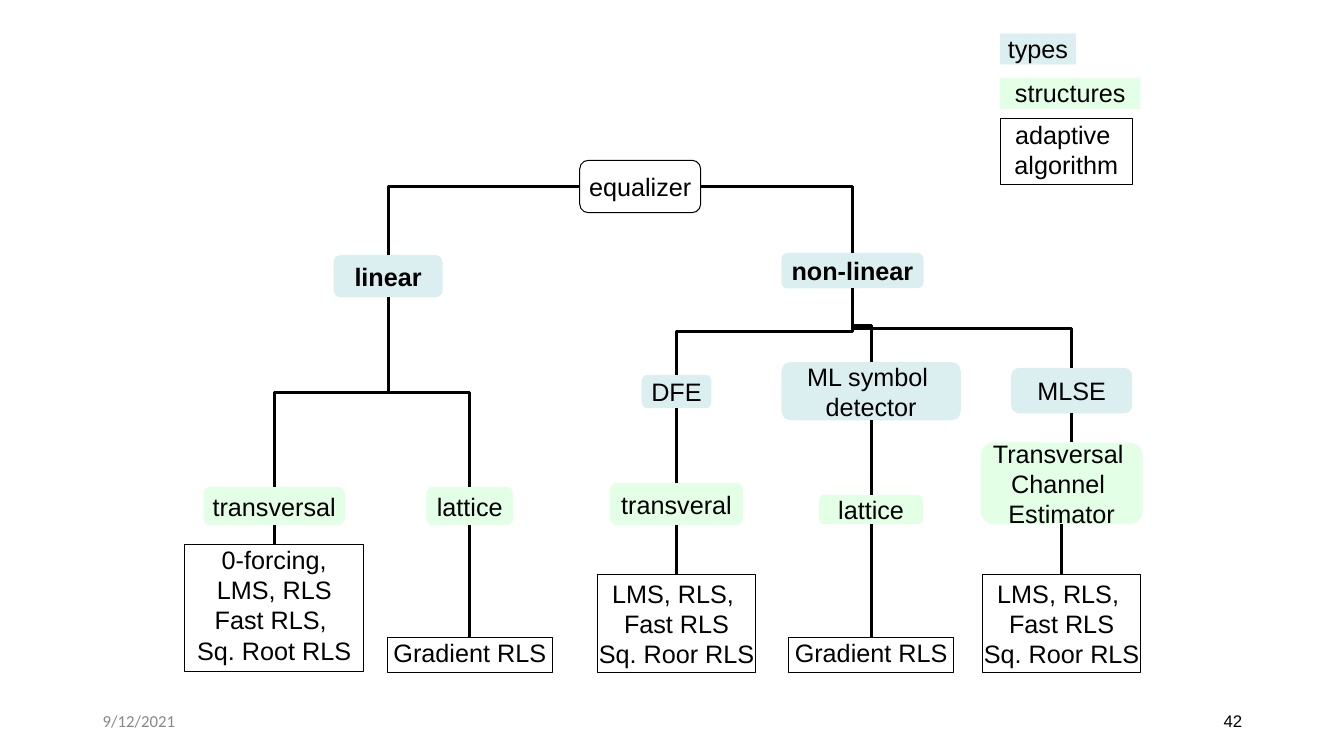
from dataclasses import dataclass

from lxml.etree import SubElement
from pptx import Presentation
from pptx.dml.color import RGBColor
from pptx.enum.shapes import MSO_CONNECTOR as Link, MSO_SHAPE as Preset
from pptx.enum.text import MSO_ANCHOR as Anchor, PP_ALIGN as Align
from pptx.oxml.ns import qn
from pptx.util import Inches, Pt


@dataclass(frozen=True)
class Theme:
    ink: str = "000000"
    muted: str = "888888"
    paper: str = "FFFFFF"
    type_fill: str = "DCEFF0"
    structure_fill: str = "E3FFE5"
    font: str = "Arial"
    date_font: str = "Calibri"
    label_size: int = 18
    footer_size: int = 12
    outline: float = 0.75
    branch: float = 2.25
    cell: float = 0.1


class TreeSlide:
    """Draws tree nodes and branches on one slide, on a grid of square cells."""

    def __init__(self, slide, theme):
        self.slide = slide
        self.theme = theme

    def grid(self, *cells):
        return [Inches(count * self.theme.cell) for count in cells]

    def add_lines(self, frame, text, size, align, color, font, bold=False):
        for index, line in enumerate(text.split("\n")):
            paragraph = frame.add_paragraph() if index else frame.paragraphs[0]
            paragraph.alignment = align
            run = paragraph.add_run()
            run.text = line
            run.font.size = Pt(size)
            run.font.name = font
            run.font.bold = bold
            run.font.color.rgb = RGBColor.from_string(color)

    def footer(self, text, left, align, color, font):
        box = self.slide.shapes.add_textbox(*self.grid(left, 69.5, 30, 4))
        frame = box.text_frame
        frame.word_wrap = True
        frame.vertical_anchor = Anchor.MIDDLE
        self.add_lines(frame, text, self.theme.footer_size, align, color, font)

    def node(self, text, center, top, width, height, fill, preset=Preset.ROUNDED_RECTANGLE,
             outlined=False, anchor=Anchor.MIDDLE, bold=False):
        area = self.grid(center - width / 2, top, width, height)
        shape = self.slide.shapes.add_shape(preset, *area)
        shape.shadow.inherit = False
        shape.fill.solid()
        shape.fill.fore_color.rgb = RGBColor.from_string(fill)
        if outlined:
            shape.line.color.rgb = RGBColor.from_string(self.theme.ink)
            shape.line.width = Pt(self.theme.outline)
        else:
            shape.line.fill.background()
        frame = shape.text_frame
        frame.word_wrap = False
        frame.vertical_anchor = anchor
        frame.margin_left = frame.margin_right = frame.margin_top = frame.margin_bottom = 0
        self.add_lines(frame, text, self.theme.label_size, Align.CENTER,
                       self.theme.ink, self.theme.font, bold)
        return shape

    def kind(self, text, *area, **options):
        return self.node(text, *area, self.theme.type_fill, **options)

    def structure(self, text, *area, **options):
        return self.node(text, *area, self.theme.structure_fill, **options)

    def algorithm(self, text, *area, anchor=Anchor.TOP):
        return self.node(text, *area, self.theme.paper, Preset.RECTANGLE, True, anchor)

    def connector(self, style, *ends):
        connector = self.slide.shapes.add_connector(style, *ends)
        connector.line.color.rgb = RGBColor.from_string(self.theme.ink)
        connector.line.width = Pt(self.theme.branch)
        SubElement(connector._element.spPr, qn("a:effectLst"))
        return connector

    def drop(self, parent, child):
        connector = self.connector(Link.STRAIGHT, 0, 0, 0, 0)
        connector.begin_connect(parent, 2)
        connector.end_connect(child, 0)

    def stub(self, parent, bottom):
        x = parent.left + parent.width // 2
        connector = self.connector(Link.STRAIGHT, x, 0, x, *self.grid(bottom))
        connector.begin_connect(parent, 2)

    def elbow(self, parent, child, from_side=False):
        x, y = child.left + child.width // 2, child.top
        end_x, end_y = parent.left + parent.width // 2, parent.top + parent.height
        leftward = x < end_x
        if from_side:
            end_x = parent.left if leftward else parent.left + parent.width
            end_y = parent.top + parent.height // 2
        rise, run = y - end_y, abs(x - end_x)
        left, top = (x + end_x - rise) // 2, (y + end_y - run) // 2
        connector = self.connector(Link.ELBOW, left, top, left + rise, top + run)
        properties = connector._element.spPr
        transform = properties.find(qn("a:xfrm"))
        transform.set("rot", str((270 if leftward else 90) * 60000))
        if not leftward:
            transform.set("flipH", "1")
        if from_side:
            properties.find(qn("a:prstGeom")).set("prst", "bentConnector2")


def main():
    presentation = Presentation()
    presentation.slide_width, presentation.slide_height = Inches(13.33), Inches(7.5)
    theme = Theme()
    tree = TreeSlide(presentation.slides.add_slide(presentation.slide_layouts[6]), theme)

    tree.footer("9/12/2021", 9.2, Align.LEFT, theme.muted, theme.date_font)
    tree.footer("42", 94.2, Align.RIGHT, theme.ink, theme.font)

    legend = {"preset": Preset.RECTANGLE, "anchor": Anchor.TOP}
    tree.kind("types", 102.95, 3.3, 7.5, 3.1, **legend)
    tree.structure("structures", 106.15, 7.7, 13.9, 3.1, **legend)
    tree.algorithm("adaptive \nalgorithm", 105.75, 11.8, 13.1, 6.5)

    equalizer = tree.node("equalizer", 63.5, 15.9, 12, 5.2, theme.paper, outlined=True)
    linear = tree.kind("linear", 38.5, 25.3, 10.8, 4.2, bold=True)
    nonlinear = tree.kind("non-linear", 84.55, 25.1, 14.1, 3.5, bold=True)
    feedback = tree.kind("DFE", 67.1, 37.2, 6.9, 3.3)
    detector = tree.kind("ML symbol \ndetector", 86.4, 35.9, 17.8, 5.8)
    sequence = tree.kind("MLSE", 106.3, 36.5, 12, 4.5)

    transversal = tree.structure("transversal", 27.2, 48.3, 14, 3.8)
    lattice = tree.structure("lattice", 46.6, 48.3, 8.6, 3.8)
    feedback_transversal = tree.structure("transveral", 67.1, 47.9, 13.2, 4.2)
    detector_lattice = tree.structure("lattice", 86.4, 49.1, 10.3, 2.9)
    estimator = tree.structure("Transversal \nChannel \nEstimator", 105.3, 43.9, 16.1, 8.1)

    forcing = tree.algorithm("0-forcing,\nLMS, RLS\nFast RLS, \nSq. Root RLS",
                             27.2, 54, 17.7, 12.6)
    gradients = [tree.algorithm("Gradient RLS", center, 63.2, 16.4, 3.5)
                 for center in (46.6, 86.4)]
    squares = [tree.algorithm("LMS, RLS, \nFast RLS\nSq. Roor RLS", center, 57, 15.7, 9.7,
                              anchor=Anchor.MIDDLE) for center in (67.1, 105.3)]

    for child in (linear, nonlinear):
        tree.elbow(equalizer, child, from_side=True)
    for parent, children in ((linear, (transversal, lattice)),
                             (nonlinear, (feedback, detector, sequence))):
        for child in children:
            tree.elbow(parent, child)
    for parent, child in ((transversal, forcing), (lattice, gradients[0]),
                          (feedback, feedback_transversal), (feedback_transversal, squares[0]),
                          (detector, detector_lattice), (detector_lattice, gradients[1]),
                          (estimator, squares[1])):
        tree.drop(parent, child)
    tree.stub(sequence, 43.9)

    presentation.save("out.pptx")


if __name__ == "__main__":
    main()
